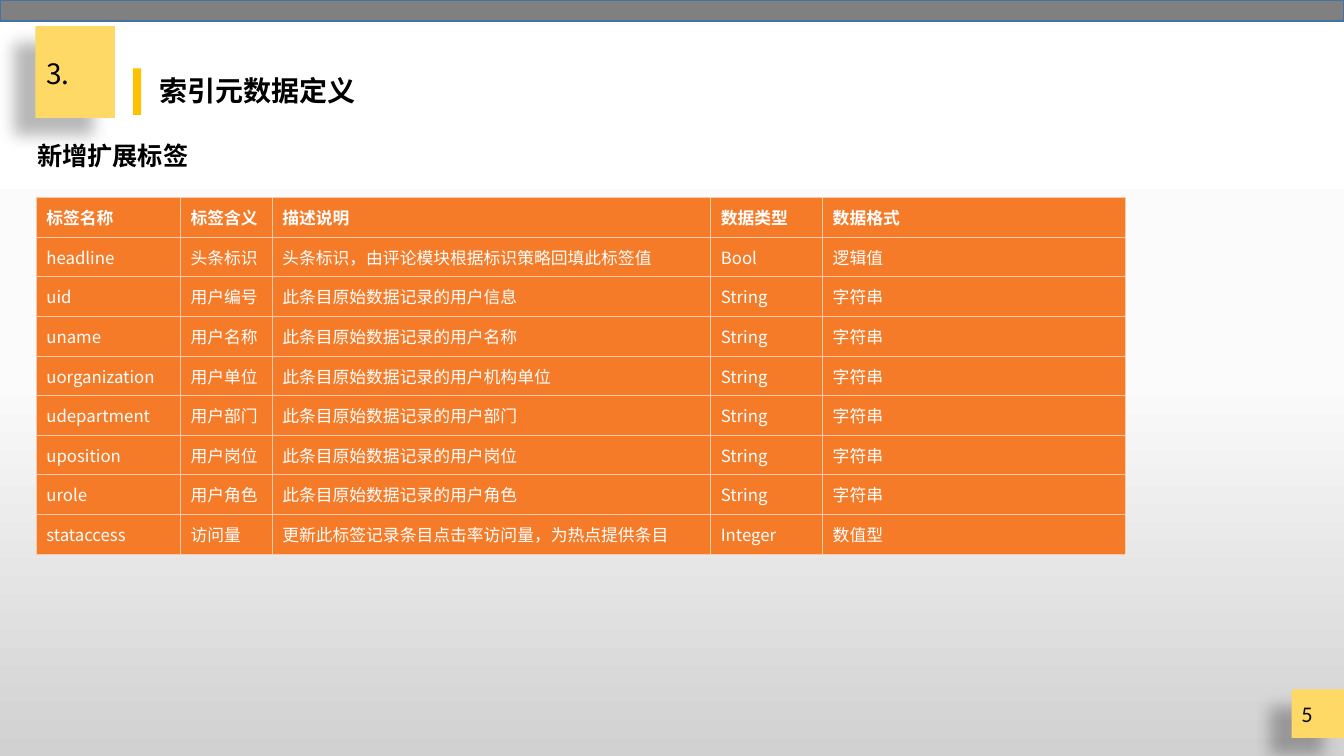
from copy import deepcopy
from lxml import etree
from pptx import Presentation
from pptx.dml.color import RGBColor
from pptx.enum.shapes import MSO_SHAPE
from pptx.enum.text import MSO_ANCHOR, MSO_AUTO_SIZE, PP_ALIGN
from pptx.oxml.ns import qn
from pptx.util import Inches, Pt

RECT = MSO_SHAPE.RECTANGLE
MID = MSO_ANCHOR.MIDDLE
LEFT = PP_ALIGN.LEFT
GROW, FIXED = MSO_AUTO_SIZE.SHAPE_TO_FIT_TEXT, MSO_AUTO_SIZE.NONE
WIDE, HIGH = 13.33, 7.5
SANS = "Noto Sans CJK SC"
HEX = {
    "band": "808080", "edge": "43739E", "tile": "FFD966", "mark": "FFC000",
    "cell": "F57B29", "rule": "F8CBAD", "ink": "000000", "page": "0D0D0D",
    "white": "FFFFFF",
}
SKY = [(0, "FFFFFF"), (0.5, "FBFBFB"), (1, "D1D1D1")]

COLS = [1.43, 0.91, 4.35, 1.11, 3]
ROW = 0.393
HEAD = ["标签名称", "标签含义", "描述说明", "数据类型", "数据格式"]
USER = "此条目原始数据记录的用户"
# Tag, label, and what the record holds about the user
FIELDS = [
    ("uid", "用户编号", "信息"), ("uname", "用户名称", "名称"),
    ("uorganization", "用户单位", "机构单位"), ("udepartment", "用户部门", "部门"),
    ("uposition", "用户岗位", "岗位"), ("urole", "用户角色", "角色"),
]
ROWS = [
    HEAD,
    ["headline", "头条标识", "头条标识，由评论模块根据标识策略回填此标签值", "Bool", "逻辑值"],
    *[[tag, name, USER + part, "String", "字符串"] for tag, name, part in FIELDS],
    ["stataccess", "访问量", "更新此标签记录条目点击率访问量，为热点提供条目", "Integer", "数值型"],
]


def color(name):
    return RGBColor.from_string(HEX[name])


def node(parent, tag, **attrs):
    return etree.SubElement(parent, qn(tag), {k: str(v) for k, v in attrs.items()})


def put(frame, text, size=12, font=SANS, ink="ink", bold=False, line=None, before=None):
    frame.text = text
    para = frame.paragraphs[0]
    para.alignment = LEFT
    para.line_spacing = line
    if before is not None:
        para.space_before = Pt(before)
    face = para.runs[0].font
    face.size, face.name, face.bold = Pt(size), font, bold
    face.color.rgb = color(ink)
    node(para.runs[0]._r.get_or_add_rPr(), "a:ea", typeface=font)


def block(slide, box, fill, edge=None, shade=False):
    shape = slide.shapes.add_shape(RECT, *map(Inches, box))
    shape.shadow.inherit = False
    shape.fill.solid()
    shape.fill.fore_color.rgb = color(fill)
    if edge:
        shape.line.color.rgb = color(edge)
        shape.line.width = Pt(1)
    else:
        shape.line.fill.background()
    if shade:
        effect = shape._element.spPr.find(qn("a:effectLst"))
        cast = node(effect, "a:outerShdw", blurRad=Pt(11.8), dist=Pt(19.7),
                    dir=141 * 60000, algn="ctr", rotWithShape=0)
        tone = node(cast, "a:srgbClr", val=HEX["ink"])
        node(tone, "a:alpha", val=28000)


def label(slide, box, text, **fmt):
    frame = slide.shapes.add_textbox(*map(Inches, box)).text_frame
    frame.word_wrap = False
    frame.auto_size = GROW
    put(frame, text, **fmt)


def place(slide, holder, box, text, **fmt):
    holder.left, holder.top, holder.width, holder.height = map(Inches, box)
    frame = holder.text_frame
    frame.vertical_anchor = MID
    frame.word_wrap = True
    frame.auto_size = FIXED
    put(frame, text, size=20, line=0.9, before=10, **fmt)
    props = frame.paragraphs[0]._p.get_or_add_pPr()
    props.set("marL", "0")
    props.set("indent", "0")
    node(props, "a:buNone")
    # Bring the text in front of the blocks
    slide.shapes._spTree.append(holder._element)


def rule(cell):
    props = cell._tc.get_or_add_tcPr()
    for at, side in enumerate(("a:lnL", "a:lnR", "a:lnT", "a:lnB")):
        line = etree.Element(qn(side), w=str(Pt(0.5)))
        node(node(line, "a:solidFill"), "a:srgbClr", val=HEX["rule"])
        props.insert(at, line)


def grid(slide, left, top):
    size = (sum(COLS), ROW * len(ROWS))
    table = slide.shapes.add_table(len(ROWS), len(COLS), *map(Inches, (left, top, *size))).table
    for col, width in zip(table.columns, COLS):
        col.width = Inches(width)
    for r, texts in enumerate(ROWS):
        table.rows[r].height = Inches(ROW)
        for c, text in enumerate(texts):
            cell = table.cell(r, c)
            cell.vertical_anchor = MID
            cell.fill.solid()
            cell.fill.fore_color.rgb = color("cell")
            put(cell.text_frame, text, ink="white", bold=r == 0)
            rule(cell)


def backdrop(slide):
    fill = slide.background.fill
    fill.gradient()
    fill.gradient_angle = 270
    stops = slide._element.find(".//" + qn("a:gsLst"))
    stops.append(deepcopy(stops[-1]))
    for stop, (pos, tone) in zip(fill.gradient_stops, SKY):
        stop.position = pos
        stop.color.rgb = RGBColor.from_string(tone)


def main():
    deck = Presentation()
    deck.slide_width, deck.slide_height = Inches(WIDE), Inches(HIGH)
    slide = deck.slides.add_slide(deck.slide_layouts[1])
    title, body = slide.placeholders
    backdrop(slide)

    # Top band, number tile, page tile and title mark
    block(slide, (0, 0, WIDE, 0.21), "band", edge="edge")
    block(slide, (0.35, 0.26, 0.79, 0.91), "tile", shade=True)
    block(slide, (WIDE - 0.52, 6.84, 0.52, 0.48), "tile", shade=True)
    label(slide, (WIDE - 0.52, 6.9, 0.52, 0.37), "5", size=16, font="Calibri", ink="page")
    block(slide, (1.32, 0.68, 0.08, 0.46), "mark")

    # Section number and title
    place(slide, body, (0.36, 0.54, 0.77, 0.42), "3.")
    place(slide, title, (1.48, 0.71, 4.1, 0.41), "索引元数据定义", bold=True)

    # Tag table and its heading
    grid(slide, 0.36, 1.96)
    label(slide, (0.27, 1.34, 1.72, 0.4), "新增扩展标签", size=18, bold=True)
    deck.save("out.pptx")


if __name__ == "__main__":
    main()
